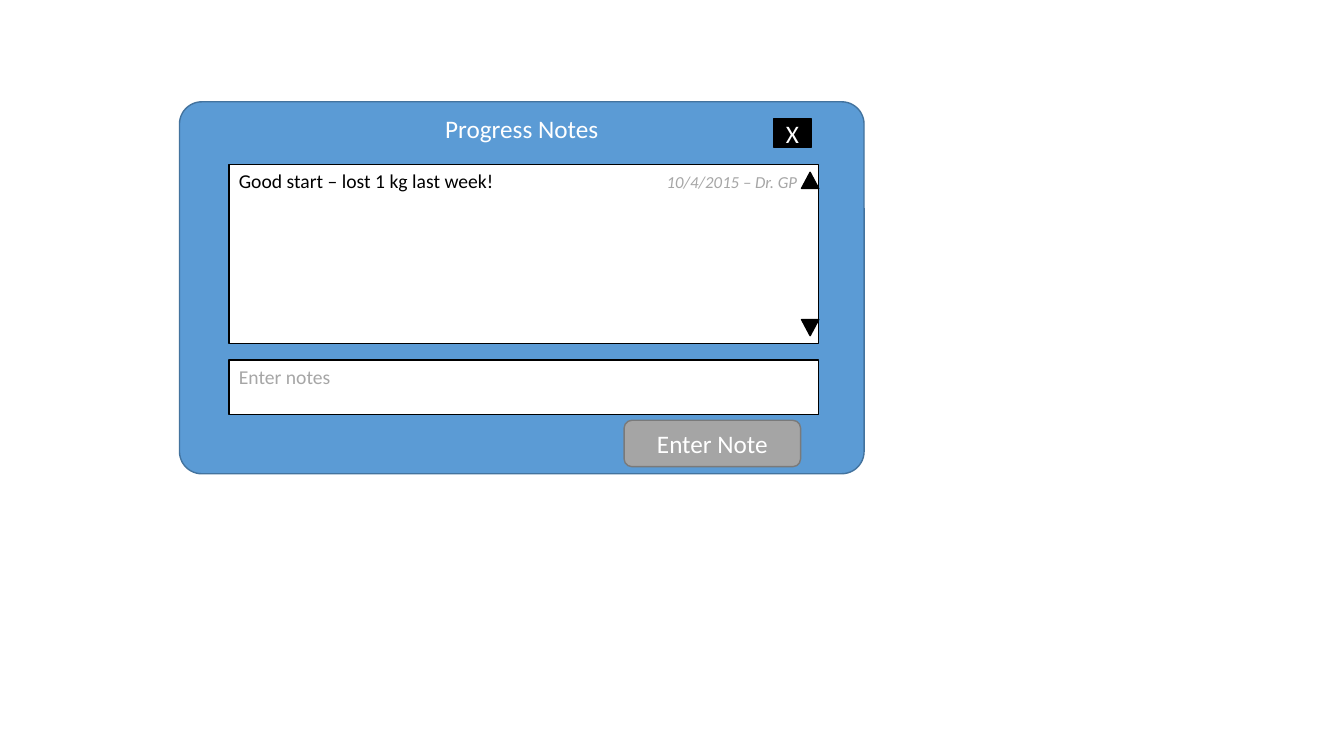
from collections import namedtuple
from lxml.etree import SubElement
from pptx import Presentation
from pptx.dml.color import RGBColor
from pptx.enum.shapes import MSO_SHAPE as Shape
from pptx.enum.text import MSO_ANCHOR as Anchor, PP_ALIGN as Align
from pptx.oxml.ns import qn
from pptx.util import Inches, Pt

CELL = 0.1
BLUE, WHITE, BLACK = "5B9BD5", "FFFFFF", "000000"
GRAY, PALE = "A5A5A5", "A6A6A6"

Box = namedtuple("Box", "left top width height")


def inside(box, left, top, width, height):
    return Box(box.left + left, box.top + top, width, height)


def paint(color_format, color):
    color_format.rgb = RGBColor.from_string(color)


def add_part(page, kind, box, fill, line=BLACK):
    part = page.shapes.add_shape(kind, *(Inches(cells * CELL) for cells in box))
    part.shadow.inherit = False
    part.fill.solid()
    paint(part.fill.fore_color, fill)
    paint(part.line.color, line)
    part.line.width = Pt(1)
    return part


def write(part, text, size, color, align=Align.LEFT, anchor=Anchor.TOP, italic=False):
    frame = part.text_frame
    frame.word_wrap = True
    frame.vertical_anchor = anchor
    para = frame.paragraphs[0]
    para.alignment = align
    span = para.add_run()
    span.text = text
    formats = {"name": "Calibri", "size": Pt(size), "italic": italic}
    for name, value in formats.items():
        setattr(span.font, name, value)
    paint(span.font.color, color)


def add_right_tab(part, cells):
    properties = part.text_frame.paragraphs[0]._p.get_or_add_pPr()
    tabs = SubElement(properties, qn("a:tabLst"))
    SubElement(tabs, qn("a:tab"), pos=str(Inches(cells * CELL)), algn="r")


def add_note_list(page, box):
    notes = add_part(page, Shape.RECTANGLE, box, WHITE)
    write(notes, "Good start – lost 1 kg last week!\t", 14, BLACK)
    write(notes, "10/4/2015 – Dr. GP", 12, PALE, italic=True)
    add_right_tab(notes, box.width - 3.1)
    side, margin = 1.7, 0.8
    for top, turn in ((margin, 0), (box.height - margin - 1.6, 180)):
        arrow_box = inside(box, box.width - side, top, side, 1.6)
        arrow = add_part(page, Shape.ISOSCELES_TRIANGLE, arrow_box, BLACK)
        arrow.rotation = turn


def add_notes_panel(page, box):
    panel = add_part(page, Shape.ROUNDED_RECTANGLE, box, BLUE, "43739E")
    panel.adjustments[0] = 0.06
    write(panel, "Progress Notes", 18, WHITE, Align.CENTER)

    close = add_part(page, Shape.RECTANGLE, inside(box, 58.9, 1.7, 3.8, 2.8), BLACK)
    write(close, "X", 18, WHITE, Align.CENTER, Anchor.MIDDLE)

    margin, width = 4.9, 58.5
    add_note_list(page, inside(box, margin, 6.2, width, 17.8))
    entry = add_part(page, Shape.RECTANGLE, inside(box, margin, 25.6, width, 5.4), WHITE)
    write(entry, "Enter notes", 14, PALE)

    button_box = inside(box, 44.1, 31.6, 17.5, 4.6)
    button = add_part(page, Shape.ROUNDED_RECTANGLE, button_box, GRAY, "7A7A7A")
    write(button, "Enter Note", 18, WHITE, Align.CENTER, Anchor.MIDDLE)


def main():
    deck = Presentation()
    deck.slide_width, deck.slide_height = Inches(13.33), Inches(7.5)
    page = deck.slides.add_slide(deck.slide_layouts[6])
    add_notes_panel(page, Box(17.8, 10.1, 67.9, 36.9))
    deck.save("out.pptx")


if __name__ == "__main__":
    main()
